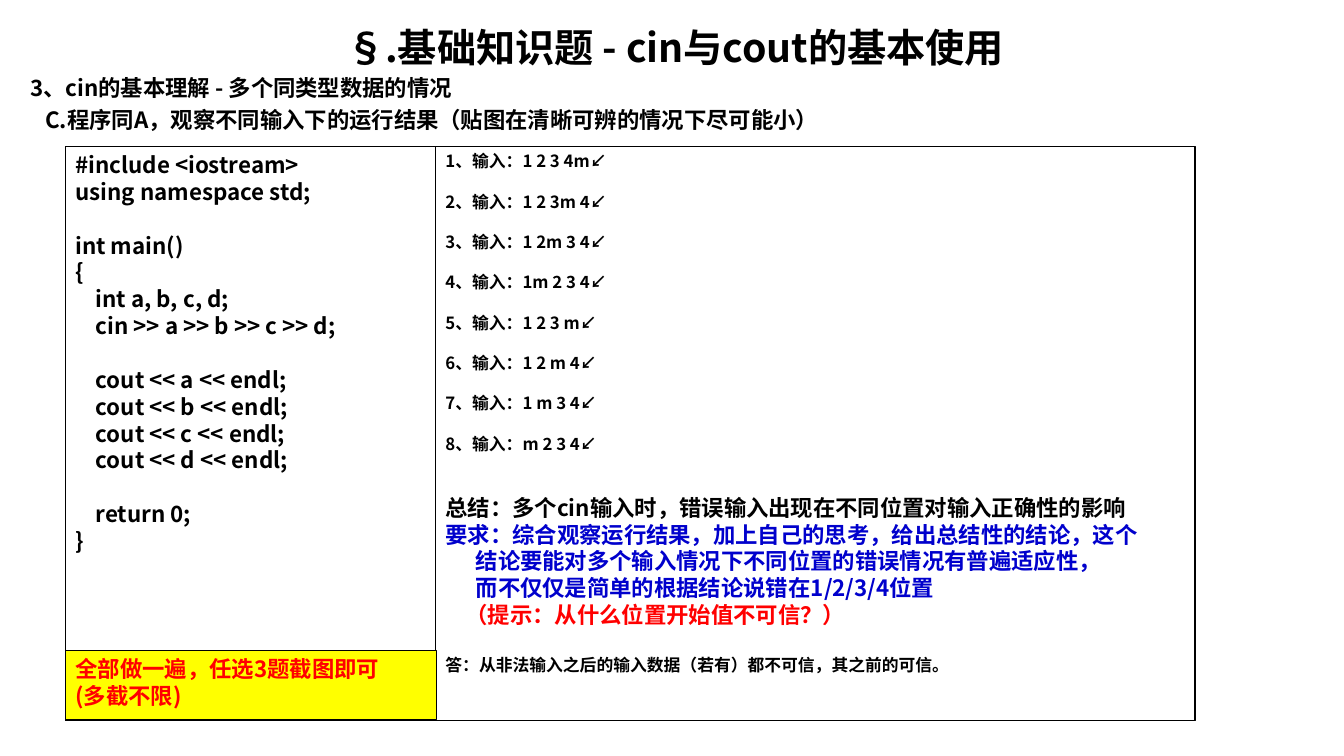
"""Build the slide on reading several values with cin."""
import pptx
import pptx.dml.color
import pptx.enum.text
import pptx.oxml
import pptx.oxml.ns
import pptx.util

Inches = pptx.util.Inches
Pt = pptx.util.Pt
RGBColor = pptx.dml.color.RGBColor
BLACK = RGBColor(0, 0, 0)
BLUE = RGBColor(0, 0, 0xCC)
RED = RGBColor(0xFF, 0, 0)
YELLOW = RGBColor(0xFF, 0xFF, 0)
FONT = "Noto Sans CJK SC"
LEFT, TOP, SPLIT = 0.65, 1.45, 4.32
TALL = 5.7
CODE = """#include <iostream>
using namespace std;

int main()
{
    int a, b, c, d;
    cin >> a >> b >> c >> d;

    cout << a << endl;
    cout << b << endl;
    cout << c << endl;
    cout << d << endl;

    return 0;
}"""
INPUTS = ["1 2 3 4m", "1 2 3m 4", "1 2m 3 4", "1m 2 3 4",
          "1 2 3 m", "1 2 m 4", "1 m 3 4", "m 2 3 4"]


class Page:
    def __init__(self, deck):
        self.slide = deck.slides.add_slide(deck.slide_layouts[5])

    def line(self, text, size=16, color=BLACK, gap=0, indent=0):
        return text, size, color, gap, indent

    def fill(self, shape, lines, align=pptx.enum.text.PP_ALIGN.LEFT):
        frame = shape.text_frame
        frame.word_wrap = True
        frame.auto_size = pptx.enum.text.MSO_AUTO_SIZE.NONE
        frame.vertical_anchor = pptx.enum.text.MSO_ANCHOR.TOP
        frame.text = "\n".join(item[0] for item in lines)
        for para, (text, size, color, gap, indent) in zip(frame.paragraphs, lines):
            para.alignment = align
            para.line_spacing = Pt(size * 1.2)
            para.space_before = Pt(gap)
            para._p.get_or_add_pPr().set("marL", str(Inches(indent)))
            para.font.size = Pt(size)
            for run in para.runs:
                font = run.font
                font.name, font.size, font.bold = FONT, Pt(size), True
                font.color.rgb = color
                east = pptx.oxml.parse_xml(
                    f'<a:ea {pptx.oxml.ns.nsdecls("a")} typeface="{FONT}"/>')
                run._r.get_or_add_rPr().find(
                    pptx.oxml.ns.qn("a:latin")).addnext(east)

    def title(self, text, *place):
        shape = self.slide.shapes.title
        shape.left, shape.top, shape.width, shape.height = map(Inches, place)
        self.fill(shape, [self.line(text, 28)], pptx.enum.text.PP_ALIGN.CENTER)

    def note(self, lines, *place):
        self.fill(self.slide.shapes.add_textbox(*map(Inches, place)), lines)

    def panel(self, lines, *place, back=None):
        shape = self.slide.shapes.add_shape(1, *map(Inches, place))
        shape.shadow.inherit = False
        if back is None:
            shape.fill.background()
        else:
            shape.fill.solid()
            shape.fill.fore_color.rgb = back
        shape.line.color.rgb = BLACK
        shape.line.width = Pt(0.75)
        if lines:
            self.fill(shape, lines)


def main():
    deck = pptx.Presentation()
    deck.slide_width, deck.slide_height = Inches(13.33), Inches(7.5)
    page = Page(deck)
    line = page.line
    page.title("§.基础知识题 - cin与cout的基本使用", 0.2, 0.18, 12.99, 0.57)
    page.note([
        line("3、cin的基本理解 - 多个同类型数据的情况"),
        line("C.程序同A，观察不同输入下的运行结果（贴图在清晰可辨的情况下尽可能小）",
             gap=3.2, indent=0.15),
    ], 0.2, 0.69, 12.99, 0.7)
    page.panel([], LEFT, TOP, 11.21, TALL)
    page.panel([line(text) for text in CODE.split("\n")],
               LEFT, TOP, SPLIT - LEFT, TALL)
    tests = [line(f"{num}、输入：{text}↙", 12, gap=14.4 if num > 1 else 0)
             for num, text in enumerate(INPUTS, 1)]
    page.panel(tests + [
        line("总结：多个cin输入时，错误输入出现在不同位置对输入正确性的影响", gap=28.8),
        line("要求：综合观察运行结果，加上自己的思考，给出总结性的结论，这个", color=BLUE),
        line("结论要能对多个输入情况下不同位置的错误情况有普遍适应性，",
             color=BLUE, indent=0.3),
        line("而不仅仅是简单的根据结论说错在1/2/3/4位置", color=BLUE, indent=0.3),
        line("（提示：从什么位置开始值不可信？）", color=RED, indent=0.2),
        line("答：从非法输入之后的输入数据（若有）都不可信，其之前的可信。", 12, gap=19.2),
    ], SPLIT, TOP, 7.53, TALL)
    page.panel([line("全部做一遍，任选3题截图即可", color=RED),
                line("(多截不限)", color=RED)],
               LEFT, 6.45, 3.68, 0.69, back=YELLOW)
    deck.save("out.pptx")


if __name__ == "__main__":
    main()
